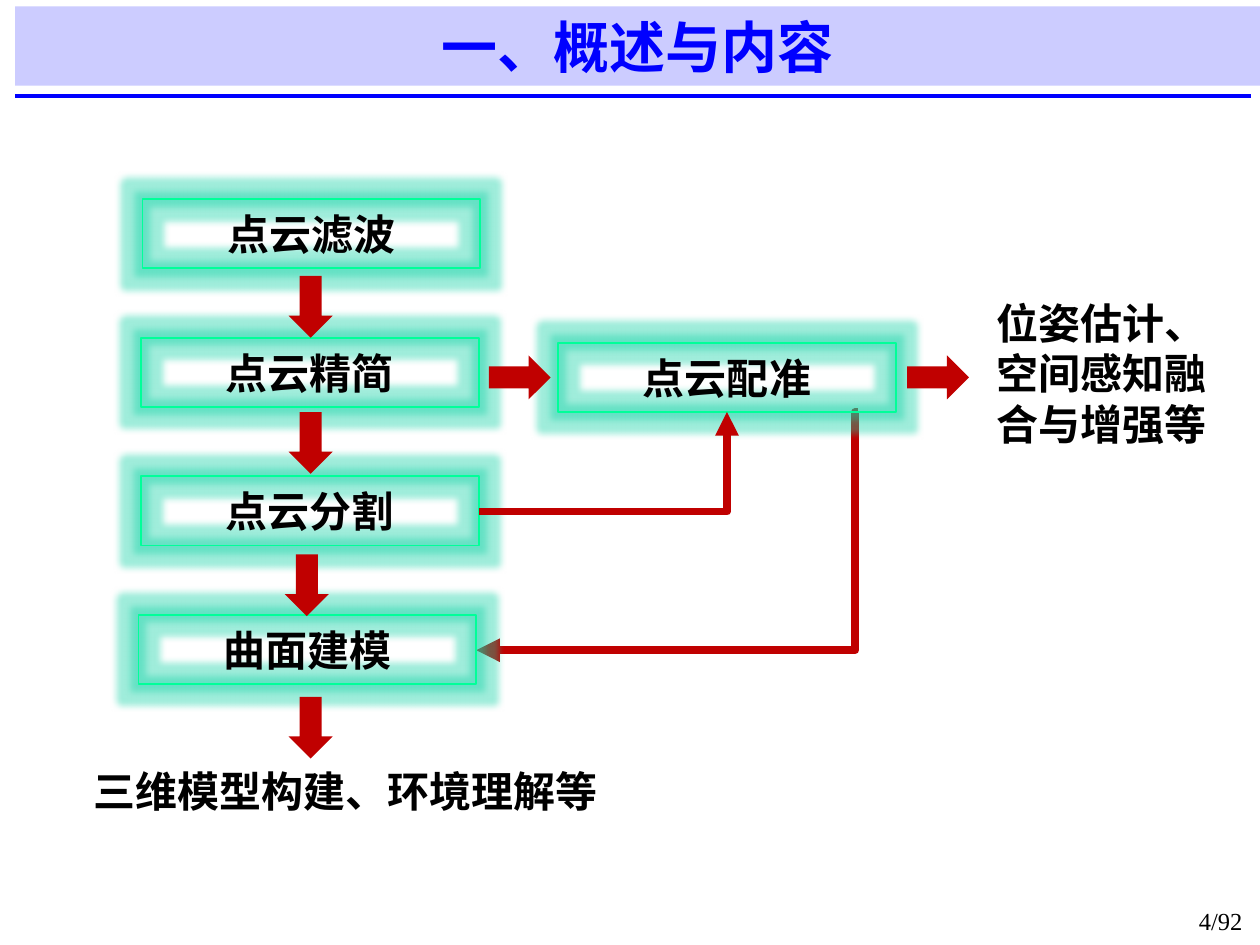
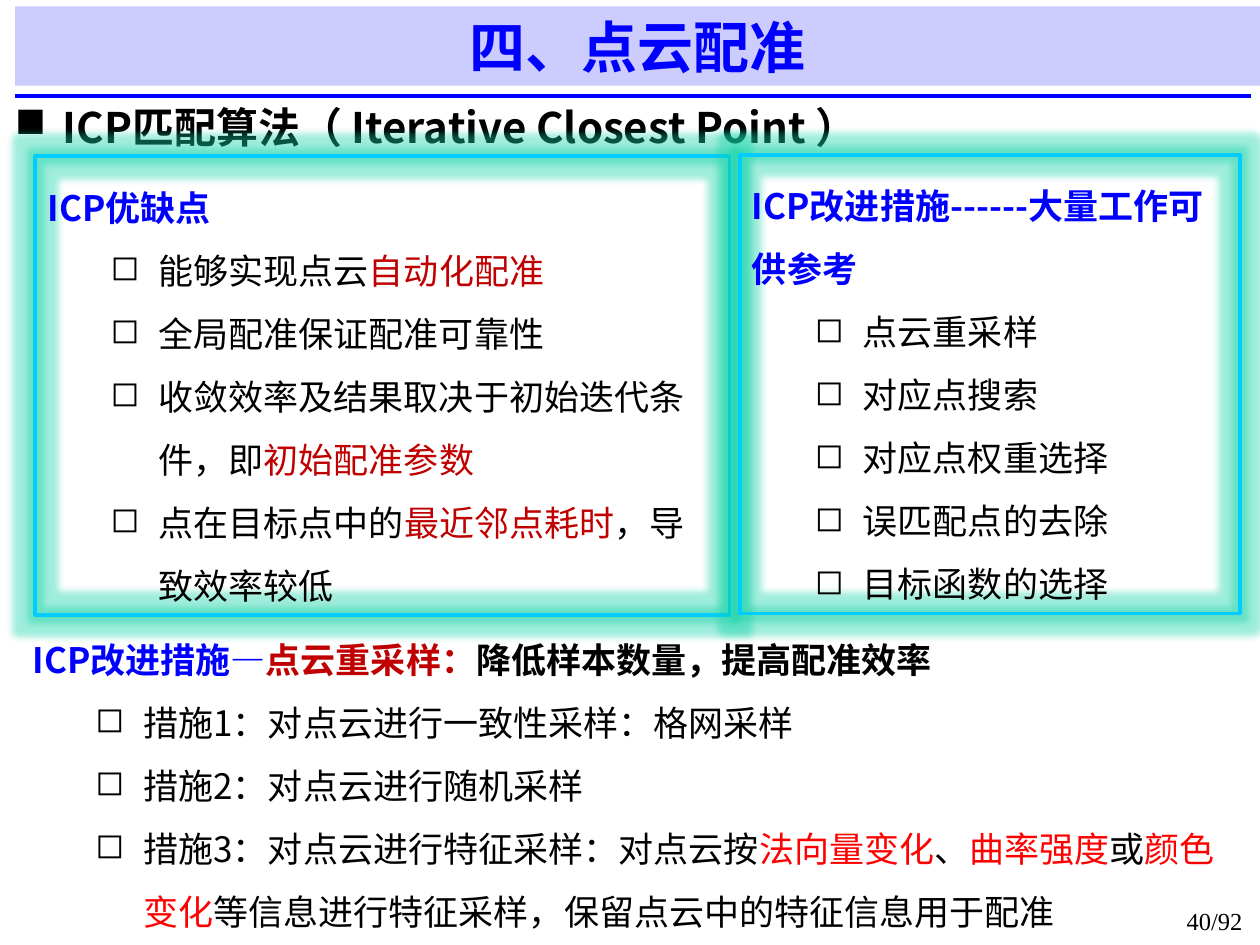
import pptx
import pptx.util
import pptx.dml.color
import pptx.enum.shapes
import pptx.enum.text
import pptx.oxml.ns
from lxml import etree

COLUMNS, ROWS = 100, 75
WIDTH, HEIGHT = pptx.util.Inches(10), pptx.util.Inches(7.5)
BLANK_LAYOUT = 6
COLORS = {
    "black": "000000", "blue": "0000FF", "band": "CCCCFF", "dark_red": "C00000",
    "red": "FF0000", "green": "00FF99", "cyan": "00CCFF", "glow": "0FD2A5",
}
SANS, SERIF = "Noto Sans CJK SC", "Times New Roman"
SHAPES = pptx.enum.shapes.MSO_SHAPE
ALIGN = pptx.enum.text.PP_ALIGN
ANCHOR = pptx.enum.text.MSO_ANCHOR
CENTER = {"alignment": ALIGN.CENTER}
LOOSE = {"line_spacing": 1.5}
LABEL = {"size": 24, "bold": True}
HEADING = {"size": 20, "bold": True}
ITEM = {"size": 20, "bold": False}
NODE_WIDTH, NODE_HEIGHT = 26.8, 5.5


def column(count):
    return round(WIDTH * count / COLUMNS)


def row(count):
    return round(HEIGHT * count / ROWS)


def place(left, top, width, height):
    return column(left), row(top), column(width), row(height)


def rgb(name):
    return pptx.dml.color.RGBColor.from_string(COLORS[name])


def apply(target, formats):
    for name, value in formats.items():
        setattr(target, name, value)


def add_xml(parent, tag, **attributes):
    return etree.SubElement(parent, pptx.oxml.ns.qn(tag), attributes)


def properties_of(shape):
    return shape.element.find(pptx.oxml.ns.qn("p:spPr"))


def add_run(paragraph, text, color="black", size=20, bold=False, face=SANS):
    run = paragraph.add_run()
    run.text = text
    apply(run.font, {"size": pptx.util.Pt(size), "bold": bold, "name": face})
    run.font.color.rgb = rgb(color)
    add_xml(run.font._element, "a:ea", typeface=face)


def add_bullet(paragraph, character, left):
    properties = paragraph._p.get_or_add_pPr()
    properties.set("marL", str(column(left)))
    properties.set("indent", str(column(-3.8)))
    add_xml(properties, "a:buChar", char=character)


def fill_text(shape, paragraphs, anchor=ANCHOR.MIDDLE):
    frame = shape.text_frame
    apply(frame, {"word_wrap": True, "vertical_anchor": anchor})
    for index, (runs, text_format, paragraph_format, bullet) in enumerate(paragraphs):
        paragraph = frame.add_paragraph() if index else frame.paragraphs[0]
        if bullet:
            add_bullet(paragraph, *bullet)
        apply(paragraph, paragraph_format)
        for text, color in runs:
            add_run(paragraph, text, color, **text_format)


def heading(*runs):
    return runs, HEADING, {"alignment": ALIGN.LEFT, **LOOSE}, None


def item(*runs):
    return runs, ITEM, {"alignment": ALIGN.LEFT, **LOOSE}, ("◻", 8.8)


def label(text):
    return [(text, "black")], LABEL, CENTER, None


def add_text(slide, box, paragraphs):
    fill_text(slide.shapes.add_textbox(*place(*box)), paragraphs, ANCHOR.TOP)


def add_solid(slide, kind, box, color):
    shape = slide.shapes.add_shape(kind, *place(*box))
    shape.shadow.inherit = False
    shape.fill.solid()
    shape.fill.fore_color.rgb = rgb(color)
    shape.line.fill.background()
    return shape


def add_glowing_frame(slide, box, color, width, paragraphs):
    shape = slide.shapes.add_shape(SHAPES.RECTANGLE, *place(*box))
    shape.shadow.inherit = False
    shape.fill.background()
    shape.line.color.rgb = rgb(color)
    shape.line.width = pptx.util.Pt(width)
    effects = properties_of(shape).find(pptx.oxml.ns.qn("a:effectLst"))
    glow = add_xml(effects, "a:glow", rad=str(pptx.util.Pt(8)))
    tint = add_xml(glow, "a:srgbClr", val=COLORS["glow"])
    add_xml(tint, "a:alpha", val="40000")
    fill_text(shape, paragraphs)


def add_node(slide, left, top, text):
    add_glowing_frame(slide, (left, top, NODE_WIDTH, NODE_HEIGHT), "green", 1, [label(text)])


def add_block_arrow(slide, left, top, rotation=0):
    arrow = add_solid(slide, SHAPES.DOWN_ARROW, (left, top, 3.5, 4.9), "dark_red")
    arrow.rotation = rotation


def add_line(slide, kind, start, end, color, width):
    connector = slide.shapes.add_connector(
        kind, column(start[0]), row(start[1]), column(end[0]), row(end[1]))
    connector.line.color.rgb = rgb(color)
    connector.line.width = pptx.util.Pt(width)
    add_xml(properties_of(connector), "a:effectLst")
    return connector


def add_bent_arrow(slide, start, end, preset, bend=None):
    connector = add_line(slide, pptx.enum.shapes.MSO_CONNECTOR.ELBOW, start, end, "dark_red", 4.5)
    properties = properties_of(connector)
    add_xml(properties.find(pptx.oxml.ns.qn("a:ln")), "a:tailEnd", type="triangle")
    geometry = properties.find(pptx.oxml.ns.qn("a:prstGeom"))
    geometry.set("prst", preset)
    if bend is not None:
        adjustments = geometry.find(pptx.oxml.ns.qn("a:avLst"))
        add_xml(adjustments, "a:gd", name="adj1", fmla=f"val {bend}")


def add_title(slide, text):
    band = add_solid(slide, SHAPES.RECTANGLE, (1.2, 0.5, 98.8, 6.3), "band")
    fill_text(band, [([(text, "blue")], {"size": 32, "bold": True}, CENTER, None)])
    add_line(slide, pptx.enum.shapes.MSO_CONNECTOR.STRAIGHT, (1.2, 7.6), (99.3, 7.6), "blue", 2)


def add_page_number(slide, text):
    add_text(slide, (78.8, 71.4, 20.8, 3.1),
             [([(text, "black")], {"size": 14, "face": SERIF}, {"alignment": ALIGN.RIGHT}, None)])


def build_overview(slide):
    add_bent_arrow(slide, (68.1, 32.7), (37.8, 51.6), "bentConnector3", 700)
    steps = [(11.3, "点云滤波"), (11.2, "点云精简"), (11.2, "点云分割"), (11, "曲面建模")]
    for index, (left, text) in enumerate(steps):
        add_node(slide, left, 15.8 + 11 * index, text)
    add_node(slide, 44.3, 27.2, "点云配准")
    for left, top in [(22.9, 21.9), (22.9, 32.7), (22.6, 44), (22.9, 55.3)]:
        add_block_arrow(slide, left, top)
    for left in (39.5, 72.7):
        add_block_arrow(slide, left, 27.5, 270)
    add_bent_arrow(slide, (38, 40.6), (57.7, 32.7), "bentConnector2")
    add_text(slide, (2, 60.3, 50.8, 5.5), [label("三维模型构建、环境理解等")])
    add_text(slide, (77.6, 23.1, 19.7, 12.9), [label("位姿估计、"), label("空间感知融合与增强等")])
    add_title(slide, "一、概述与内容")
    add_page_number(slide, "4/92")


def build_registration(slide):
    topic = [("ICP匹配算法（ Iterative Closest Point ）", "black")]
    add_text(slide, (0.2, 7.6, 99.8, 5), [(topic, LABEL, {}, ("■", 3.8))])
    add_title(slide, "四、点云配准")
    add_glowing_frame(slide, (2.8, 12.4, 55.1, 36.4), "cyan", 2.25, [
        heading(("ICP优缺点", "blue")),
        item(("能够实现点云", "black"), ("自动化配准", "dark_red")),
        item(("全局配准保证配准可靠性", "black")),
        item(("收敛效率及结果取决于初始迭代条件，即", "black"), ("初始配准参数", "dark_red")),
        item(("点在目标点中的", "black"), ("最近邻点耗时", "dark_red"), ("，导致效率较低", "black")),
    ])
    measures = ["点云重采样", "对应点搜索", "对应点权重选择", "误匹配点的去除", "目标函数的选择"]
    add_glowing_frame(slide, (58.7, 12.3, 39.7, 36.4), "cyan", 2.25, [
        heading(("ICP改进措施------大量工作可供参考", "blue")),
        *[item((measure, "black")) for measure in measures],
    ])
    add_text(slide, (1.6, 48.5, 96.7, 26.3), [
        heading(("ICP改进措施—", "blue"), ("点云重采样：", "dark_red"),
                ("降低样本数量，提高配准效率", "black")),
        item(("措施1：对点云进行一致性采样：格网采样", "black")),
        item(("措施2：对点云进行随机采样", "black")),
        item(("措施3：对点云进行特征采样：对点云按", "black"), ("法向量变化", "red"),
             ("、", "black"), ("曲率强度", "red"), ("或", "black"), ("颜色变化", "red"),
             ("等信息进行特征采样，保留点云中的特征信息用于配准", "black")),
    ])
    add_page_number(slide, "40/92")


def main():
    presentation = pptx.Presentation()
    apply(presentation, {"slide_width": WIDTH, "slide_height": HEIGHT})
    for build in (build_overview, build_registration):
        build(presentation.slides.add_slide(presentation.slide_layouts[BLANK_LAYOUT]))
    presentation.save("out.pptx")


if __name__ == "__main__":
    main()
